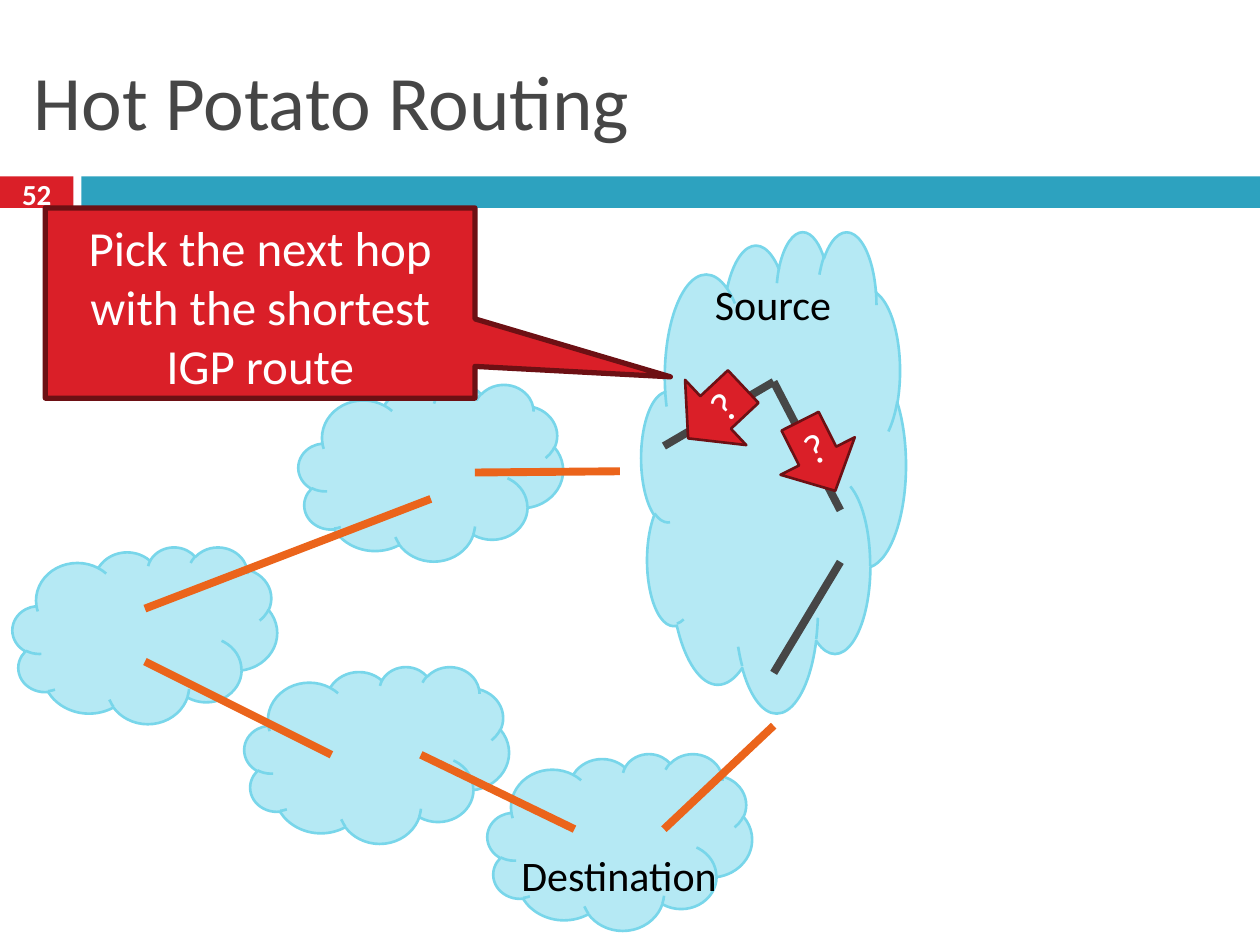
"""Build the Hot Potato Routing slide."""
from lxml.etree import SubElement
from pptx import Presentation
from pptx.dml.color import RGBColor
from pptx.enum.shapes import MSO_CONNECTOR, MSO_SHAPE
from pptx.enum.text import MSO_ANCHOR, MSO_AUTO_SIZE, PP_ALIGN
from pptx.oxml.ns import qn
from pptx.util import Pt

COLORS = {
    "red": "DA1F28", "dark red": "6D1014", "teal": "2DA2BF", "gray": "464646",
    "orange": "EB641B", "cloud": "B5E9F4", "cloud edge": "78D6EA",
    "white": "FFFFFF", "black": "000000",
}


def write(box, text, size, color, align=PP_ALIGN.CENTER, anchor=MSO_ANCHOR.MIDDLE, wrap=True, bold=False):
    frame = box.text_frame
    settings = {"word_wrap": wrap, "auto_size": MSO_AUTO_SIZE.NONE, "vertical_anchor": anchor}
    for name, value in settings.items():
        setattr(frame, name, value)
    para = frame.paragraphs[0]
    para.alignment = align
    span = para.add_run()
    span.text = text
    for name, value in {"name": "Calibri", "size": Pt(size), "bold": bold}.items():
        setattr(span.font, name, value)
    span.font.color.rgb = RGBColor.from_string(COLORS[color])


def draw(kind, place, fill, edge=None, width=1.5, rotation=0, flip=False):
    shape = page.shapes.add_shape(kind, *map(Pt, place))
    shape.shadow.inherit = False
    shape.fill.solid()
    shape.fill.fore_color.rgb = RGBColor.from_string(COLORS[fill])
    if edge:
        shape.line.color.rgb = RGBColor.from_string(COLORS[edge])
        shape.line.width = Pt(width)
    else:
        shape.line.fill.background()
    shape.rotation = rotation
    if flip:
        shape.element.spPr.find(qn("a:xfrm")).set("flipH", "1")
    return shape


deck = Presentation()
deck.slide_width, deck.slide_height = Pt(720), Pt(540)
page = deck.slides.add_slide(deck.slide_layouts[5])

title = page.shapes.title
for name, value in {"left": 12, "top": 18, "width": 696, "height": 78}.items():
    setattr(title, name, Pt(value))
write(title, "Hot Potato Routing", 44, "gray", align=PP_ALIGN.LEFT)

draw(MSO_SHAPE.RECTANGLE, (0, 100.8, 42, 18), "red")
draw(MSO_SHAPE.RECTANGLE, (46.5, 100.8, 673.5, 18), "teal")
number = page.shapes.add_textbox(Pt(0), Pt(98.6), Pt(42), Pt(24))
write(number, "52", 16.6, "white", bold=True)

clouds = [
    (278.6, 430.6, 101), (170.6, 219.6, 101), (7.2, 312.5, 101),
    (366.5, 131.8, 275), (139.7, 380.9, 101),
]
for left, top, height in clouds:
    draw(MSO_SHAPE.CLOUD, (left, top, 151.2, height), "cloud", "cloud edge")

labels = [("Destination", 285.8, 481.7, 136), ("Source", 396, 155.5, 91.4)]
for text, left, top, width in labels:
    label = page.shapes.add_textbox(Pt(left), Pt(top), Pt(width), Pt(36))
    write(label, text, 24, "black", anchor=MSO_ANCHOR.TOP, wrap=False)

links = {
    "orange": [
        (82.8, 347.8, 246.2, 285.1), (354.2, 269.3, 271.4, 270),
        (379.4, 473.8, 442.1, 414.7), (189.4, 431.3, 82.8, 378),
        (240.5, 431.3, 328.3, 473.8),
    ],
    "gray": [
        (442.1, 218.2, 480.2, 291.6), (442.1, 384.5, 480.2, 321.1),
        (442.1, 218.2, 379.4, 254.9),
    ],
}
for color, routes in links.items():
    for ends in routes:
        link = page.shapes.add_connector(MSO_CONNECTOR.STRAIGHT, *map(Pt, ends))
        link.line.color.rgb = RGBColor.from_string(COLORS[color])
        link.line.width = Pt(4.5)
        SubElement(link.element.spPr, qn("a:effectLst"))

arrows = [
    (MSO_SHAPE.DOWN_ARROW, (443.5, 238.3, 47.5, 44.6), 333.2, False),
    (MSO_SHAPE.RIGHT_ARROW, (387.4, 210.2, 43.2, 51.1), 316.8, True),
]
for kind, place, rotation, flip in arrows:
    arrow = draw(kind, place, "red", "dark red", rotation=rotation, flip=flip)
    write(arrow, "?", 24, "white")

callout = draw(MSO_SHAPE.RECTANGULAR_CALLOUT, (25.9, 118.8, 245.5, 108.7), "red", "dark red", 3, flip=True)
callout.adjustments[0], callout.adjustments[1] = -0.955, 0.388
advice = page.shapes.add_textbox(Pt(32.4), Pt(121), Pt(232.6), Pt(108.7))
write(advice, "Pick the next hop with the shortest IGP route", 28, "white", anchor=MSO_ANCHOR.TOP)

deck.save("out.pptx")
